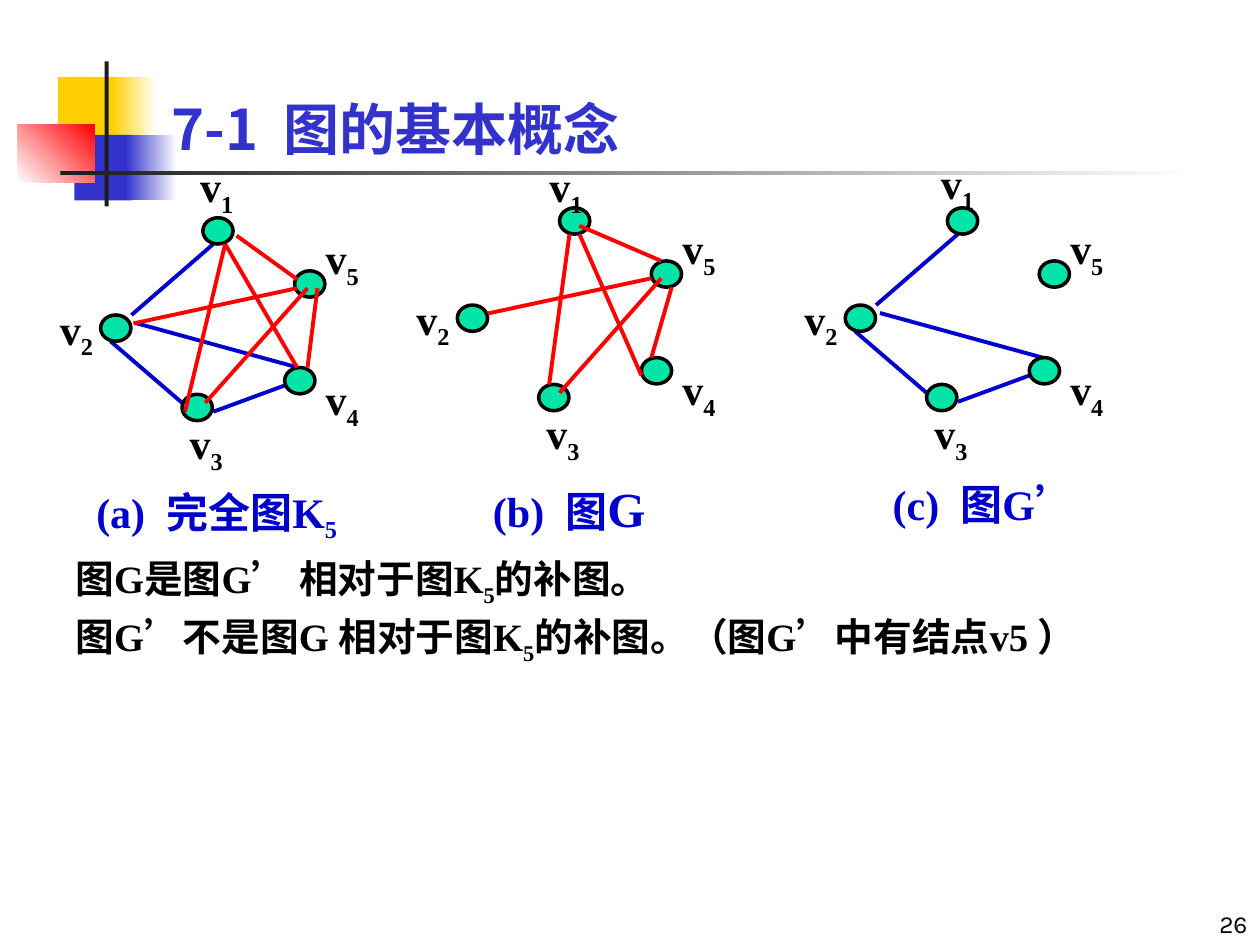
from lxml import etree
from pptx import Presentation
from pptx.dml.color import RGBColor
from pptx.enum.shapes import MSO_CONNECTOR, MSO_SHAPE
from pptx.enum.text import MSO_ANCHOR, MSO_AUTO_SIZE, PP_ALIGN
from pptx.oxml.ns import qn
from pptx.util import Cm, Pt

RECTANGLE, OVAL = MSO_SHAPE.RECTANGLE, MSO_SHAPE.OVAL
STRAIGHT = MSO_CONNECTOR.STRAIGHT
LEFT, CENTER, RIGHT = PP_ALIGN.LEFT, PP_ALIGN.CENTER, PP_ALIGN.RIGHT
TOP, BOTTOM = MSO_ANCHOR.TOP, MSO_ANCHOR.BOTTOM
NO_AUTOFIT = MSO_AUTO_SIZE.NONE

COLORS = {
    "black": "000000", "white": "FFFFFF", "dark": "1C1C1C", "gold": "FFCF01",
    "indigo": "3333CC", "red": "FF0000", "blue": "0000CC", "green": "00E4A8",
}
CJK_FONT = "Noto Sans CJK SC"
TITLE_FONT = {"name": CJK_FONT, "size": Pt(32), "bold": True}
LABEL_FONT = {"name": "Times New Roman", "size": Pt(24), "bold": True}
BODY_FONT = {"name": "Times New Roman", "size": Pt(22.1), "bold": True}
NUMBER_FONT = {"name": "Karla", "size": Pt(14), "bold": False}
SUBSCRIPT = {"baseline": "-25000"}

ORNAMENTS = [
    ((1.17, 1.55, 1.22, 1.32), ["gold"], 0),
    ((2.24, 1.55, 0.91, 1.32), ["gold", "white"], 0),
    ((1.5, 2.72, 1.17, 1.32), ["indigo"], 0),
    ((2.54, 2.72, 1.02, 1.32), ["indigo", "white"], 0),
    ((0.36, 2.51, 1.55, 1.17), ["white", "red"], 45),
    ((2.11, 1.24, 0.08, 2.92), ["dark"], 0),
    ((1.22, 3.45, 22.86, 0.08), ["dark", "white"], 0),
]

NODES = [(2.06, 0), (0, 1.96), (1.64, 3.56), (3.71, 3.02), (3.91, 1.07)]
LABELS = {2: (-1.18, 1.6), 3: (1.44, 3.91), 4: (4.18, 3.02), 5: (4.18, 0.18)}
SUBGRAPH_EDGES = [
    (3.98, 3.02, 0.7, 2.12), (2.27, 0.53, 0.62, 1.96),
    (1.64, 3.73, 0.2, 2.49), (3.71, 3.38, 2.27, 3.91),
]
COMPLETING_EDGES = [
    (2.51, 0.53, 1.7, 3.91), (4.17, 1.42, 2.11, 3.73), (4.37, 1.42, 4.17, 3.02),
    (3.96, 1.24, 2.74, 0.36), (3.96, 1.42, 0.66, 2.13), (2.51, 0.53, 3.96, 3.02),
]
COMPLEMENT_EDGES = [
    (2.26, 0.53, 1.85, 3.56), (4.11, 1.07, 2.46, 0.36), (3.91, 3.02, 4.32, 1.6),
    (3.91, 1.42, 0.61, 2.13), (4.11, 1.42, 2.06, 3.73), (3.71, 3.38, 2.46, 0.53),
]
GRAPHS = [
    {"origin": (2.03, 4.39), "v1_label": (1.65, -1.27),
     "blue": SUBGRAPH_EDGES, "red": COMPLETING_EDGES,
     "caption_box": (1.27, 9.68, 6.2, 1.42),
     "caption": [("(a)  完全图K", {}), ("5", SUBSCRIPT)]},
    {"origin": (9.22, 4.19), "v1_label": (1.5, -1.07),
     "blue": [], "red": COMPLEMENT_EDGES,
     "caption_box": (9.42, 9.53, 4.11, 1.45),
     "caption": [("(b)  图", {}), ("G", {"size": Pt(28)})]},
    {"origin": (17.04, 4.19), "v1_label": (1.57, -1.14),
     "blue": SUBGRAPH_EDGES, "red": [],
     "caption_box": (16.35, 9.53, 7.01, 1.27),
     "caption": [("(c)  图G", {}), ("’", {"name": "Courier New"})]},
]
STATEMENTS = [
    [("图G是图G’ 相对于图K", {}), ("5", SUBSCRIPT), ("的补图。", {})],
    [("图G’不是图G 相对于图K", {}), ("5", SUBSCRIPT),
     ("的补图。（图G’中有结点v5 ）", {})],
]


def rgb(color):
    return RGBColor.from_string(COLORS[color])


class SlideBuilder:
    def __init__(self, slide):
        self.slide = slide
        self.shapes = slide.shapes

    def start_group(self):
        self.shapes = self.slide.shapes.add_group_shape().shapes

    def end_group(self):
        self.shapes = self.slide.shapes

    def add_runs(self, paragraph, runs, font, color):
        for text, changes in runs:
            run = paragraph.add_run()
            run.text = text
            values = {**font, **changes}
            baseline = values.pop("baseline", None)
            for attribute, value in values.items():
                setattr(run.font, attribute, value)
            run.font.color.rgb = rgb(color)
            properties = run._r.get_or_add_rPr()
            if baseline:
                properties.set("baseline", baseline)
            etree.SubElement(properties, qn("a:ea"), typeface=CJK_FONT)

    def text(self, box, runs, font, color="black", align=CENTER, anchor=TOP, before=15):
        frame = self.shapes.add_textbox(*map(Cm, box)).text_frame
        frame.word_wrap = True
        frame.vertical_anchor = anchor
        paragraph = frame.paragraphs[0]
        paragraph.alignment = align
        paragraph.space_before = Pt(before)
        self.add_runs(paragraph, runs, font, color)

    def placeholder(self, index, box, paragraphs, font, color, anchor):
        holder = self.slide.placeholders[index]
        for side, length in zip(("left", "top", "width", "height"), box):
            setattr(holder, side, Cm(length))
        frame = holder.text_frame
        frame.vertical_anchor = anchor
        frame.auto_size = NO_AUTOFIT
        for number, runs in enumerate(paragraphs):
            paragraph = frame.add_paragraph() if number else frame.paragraphs[0]
            paragraph.alignment = LEFT
            self.add_runs(paragraph, runs, font, color)
        return frame

    def ornament(self, box, colors, angle):
        block = self.shapes.add_shape(RECTANGLE, *map(Cm, box))
        block.shadow.inherit = False
        block.line.fill.background()
        if len(colors) == 1:
            block.fill.solid()
            block.fill.fore_color.rgb = rgb(colors[0])
            return
        block.fill.gradient()
        block.fill.gradient_angle = angle
        for position, (stop, color) in enumerate(zip(block.fill.gradient_stops, colors)):
            stop.position = position
            stop.color.rgb = rgb(color)

    def node(self, x, y):
        vertex = self.shapes.add_shape(OVAL, Cm(x), Cm(y), Cm(0.61), Cm(0.53))
        vertex.shadow.inherit = False
        vertex.fill.solid()
        vertex.fill.fore_color.rgb = rgb("green")
        vertex.line.color.rgb = rgb("black")
        vertex.line.width = Pt(2)

    def edge(self, ends, color):
        link = self.shapes.add_connector(STRAIGHT, *map(Cm, ends))
        link.line.color.rgb = rgb(color)
        link.line.width = Pt(2.25)
        etree.SubElement(link._element.spPr, qn("a:effectLst"))

    def graph(self, origin, v1_label, blue, red, caption_box, caption):
        x, y = origin
        self.start_group()
        for x1, y1, x2, y2 in blue:
            self.edge((x + x1, y + y1, x + x2, y + y2), "blue")
        for dx, dy in NODES:
            self.node(x + dx, y + dy)
        for x1, y1, x2, y2 in red:
            self.edge((x + x1, y + y1, x + x2, y + y2), "red")
        for number, (dx, dy) in {1: v1_label, **LABELS}.items():
            self.text((x + dx, y + dy, 1.38, 1.42),
                      [("v", {}), (str(number), SUBSCRIPT)], LABEL_FONT)
        self.text(caption_box, caption, LABEL_FONT, "blue")
        self.end_group()


def main():
    deck = Presentation()
    deck.slide_width, deck.slide_height = Cm(25.4), Cm(19.05)
    builder = SlideBuilder(deck.slides.add_slide(deck.slide_layouts[1]))
    for ornament in ORNAMENTS:
        builder.ornament(*ornament)
    builder.text((20.12, 17.78, 5.28, 1.27), [("26", {})], NUMBER_FONT,
                 align=RIGHT, anchor=BOTTOM, before=0)
    title = builder.placeholder(0, (3.2, 0.2, 21.64, 3.18),
                                [[("7-1  图的基本概念", {})]], TITLE_FONT, "indigo", BOTTOM)
    for graph in GRAPHS:
        builder.graph(**graph)
    body = builder.placeholder(1, (1.27, 10.95, 22.86, 3.38),
                               STATEMENTS, BODY_FONT, "black", TOP)
    title.word_wrap = body.word_wrap = True
    for statement in body.paragraphs:
        statement.line_spacing = 1.1
        statement.space_before = Pt(0)
        properties = statement._p.get_or_add_pPr()
        properties.set("marL", str(Cm(0.97)))
        properties.set("indent", str(Cm(-0.97)))
        etree.SubElement(properties, qn("a:buNone"))
    deck.save("out.pptx")


if __name__ == "__main__":
    main()
